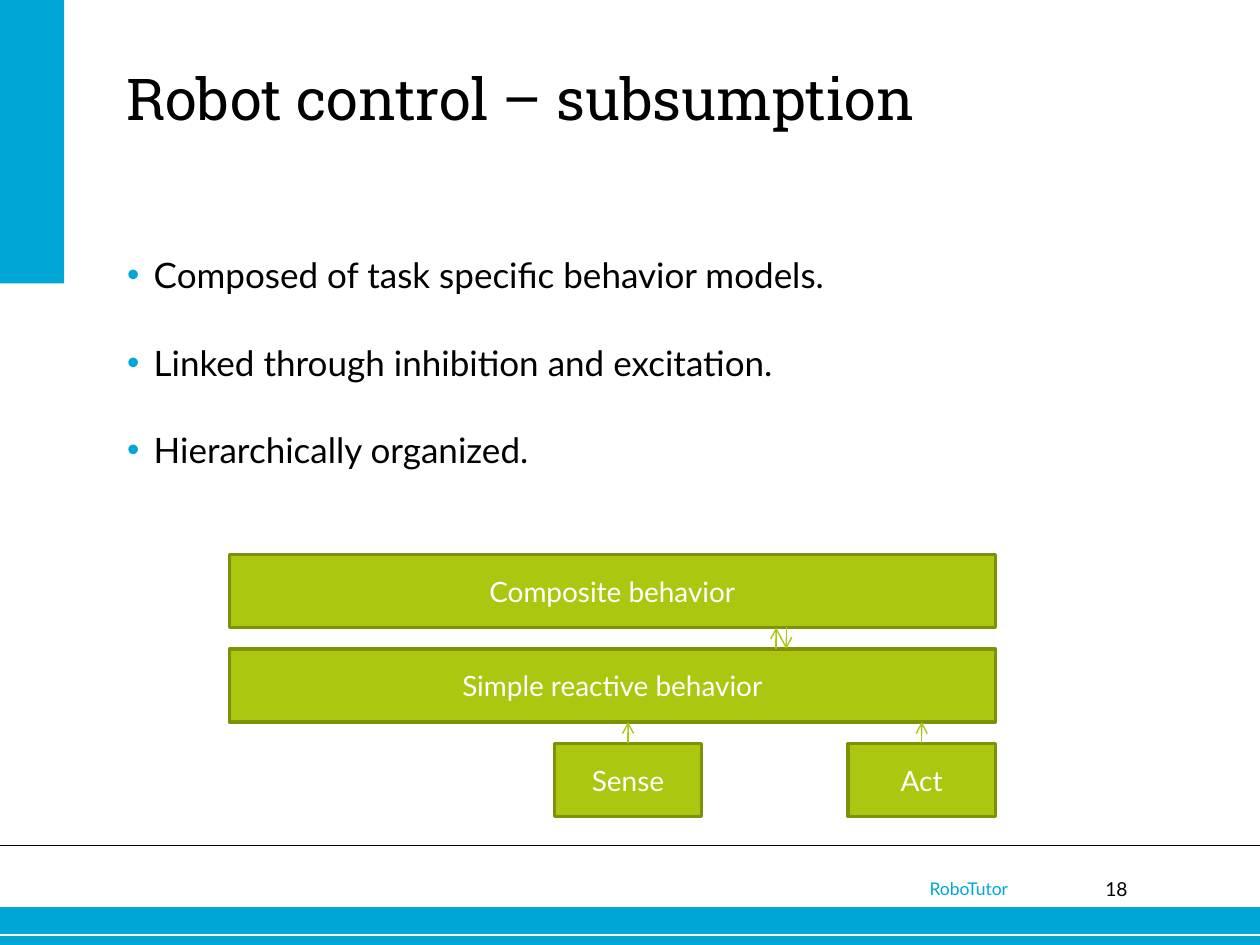
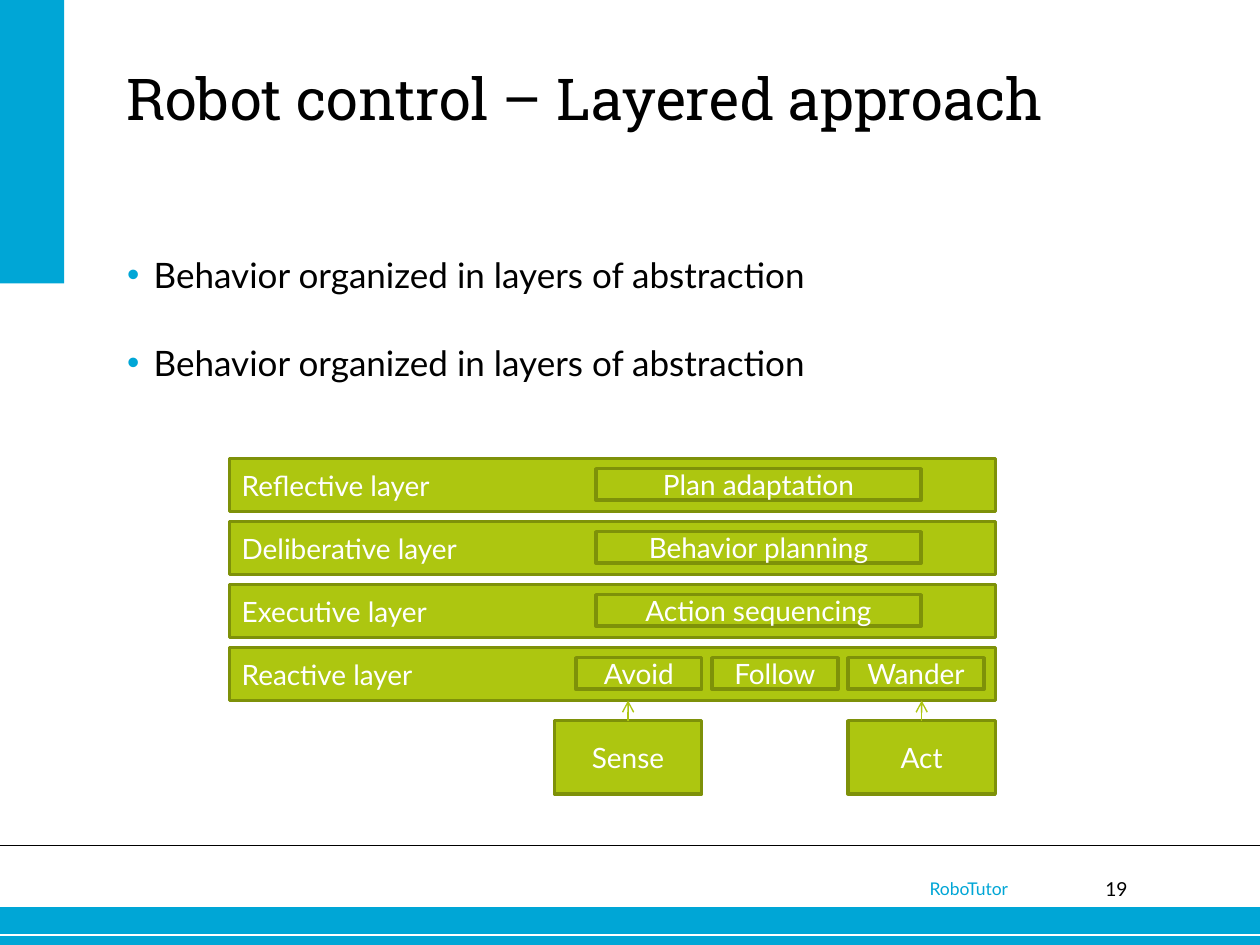
from pptx import Presentation
from pptx import util as u
from pptx.dml.color import RGBColor
from pptx.enum import shapes, text
from pptx.oxml.ns import qn
from lxml import etree

# Slide grid: 100 columns by 75 rows
WIDTH, HEIGHT = u.Inches(10), u.Inches(7.5)
COLUMNS, ROWS = 100, 75

CYAN = RGBColor(0x00, 0xA6, 0xD6)
GREEN = RGBColor(0xAD, 0xC6, 0x10)
OLIVE = RGBColor(0x7E, 0x91, 0x09)
BLACK = RGBColor(0x00, 0x00, 0x00)
WHITE = RGBColor(0xFF, 0xFF, 0xFF)

LEFT, CENTER, RIGHT = text.PP_ALIGN.LEFT, text.PP_ALIGN.CENTER, text.PP_ALIGN.RIGHT
TITLE_FONT = {"name": "Roboto Slab", "size": u.Pt(33)}
LIST_FONT = {"name": "Lato", "size": u.Pt(20)}
LABEL_FONT = {"name": "Lato", "size": u.Pt(16)}
NUMBER_FONT = {"name": "Lato", "size": u.Pt(11)}
FOOTER_FONT = {"name": "Lato", "size": u.Pt(10)}
NO_MARGINS = {"margin_left": 0, "margin_right": 0, "margin_top": 0, "margin_bottom": 0}
TOP_FRAME = {**NO_MARGINS, "word_wrap": True, "auto_size": text.MSO_AUTO_SIZE.NONE,
             "vertical_anchor": text.MSO_ANCHOR.TOP}

# Diagram measures in columns and rows
BAR_LEFT, BAR_WIDTH = 18.2, 60.8
TILE_WIDTH, TILE_HEIGHT = 11.7, 5.8
ACT_LEFT = BAR_LEFT + BAR_WIDTH - TILE_WIDTH
SENSE_LEFT = ACT_LEFT - 23.3


def across(columns):
    return round(WIDTH * columns / COLUMNS)


def down(rows):
    return round(HEIGHT * rows / ROWS)


def place(left, top, width, height):
    return across(left), down(top), across(width), down(height)


def apply(target, values):
    for name, value in values.items():
        setattr(target, name, value)


def write(para, words, font, color, align=LEFT):
    span = para.add_run()
    span.text = words
    apply(span.font, font)
    span.font.color.rgb = color
    para.alignment = align


def add_rect(page, area, fill, outline=None):
    rect = page.shapes.add_shape(shapes.MSO_SHAPE.RECTANGLE, *place(*area))
    rect.shadow.inherit = False
    rect.fill.solid()
    rect.fill.fore_color.rgb = fill
    if outline is None:
        rect.line.fill.background()
    else:
        rect.line.color.rgb = outline
        rect.line.width = u.Pt(2)
    return rect


def add_box(page, label, area, align=CENTER):
    box = add_rect(page, area, GREEN, OLIVE)
    apply(box.text_frame, {"word_wrap": True, "vertical_anchor": text.MSO_ANCHOR.MIDDLE})
    write(box.text_frame.paragraphs[0], label, LABEL_FONT, WHITE, align)


def add_line(page, start, end, color, points, arrow=False):
    line = page.shapes.add_connector(
        shapes.MSO_CONNECTOR.STRAIGHT,
        across(start[0]), down(start[1]), across(end[0]), down(end[1]))
    line.line.color.rgb = color
    line.line.width = u.Pt(points)
    if arrow:
        etree.SubElement(line.line._get_or_add_ln(), qn("a:tailEnd"), type="arrow")
    etree.SubElement(line._element.spPr, qn("a:effectLst"))


def add_text(page, words, area, font, color, align=LEFT, frame=None):
    box = page.shapes.add_textbox(*place(*area))
    apply(box.text_frame, {"word_wrap": True, **(frame or {})})
    write(box.text_frame.paragraphs[0], words, font, color, align)


def move(holder, area):
    sides = zip(("left", "top", "width", "height"), place(*area))
    apply(holder, dict(sides))
    apply(holder.text_frame, TOP_FRAME)


def add_bullet(para):
    props = para._p.get_or_add_pPr()
    props.set("marL", str(across(2.1)))
    props.set("indent", str(-across(2.1)))
    tint = etree.SubElement(props, qn("a:buClr"))
    etree.SubElement(tint, qn("a:srgbClr"), val=str(CYAN))
    etree.SubElement(props, qn("a:buChar"), char="•")


def fill_list(frame, items):
    for index, item in enumerate(items):
        para = frame.add_paragraph() if index else frame.paragraphs[0]
        apply(para, {"line_spacing": u.Pt(25), "space_before": u.Pt(25 if index else 0)})
        add_bullet(para)
        write(para, item, LIST_FONT, BLACK)


def add_page(deck, number, title, items):
    page = deck.slides.add_slide(deck.slide_layouts[1])
    # Bands, rules and footer
    add_rect(page, (0, 72, COLUMNS, 3), CYAN)
    add_line(page, (0, 74.2), (COLUMNS, 74.2), WHITE, 0.75)
    add_line(page, (0, 67.1), (COLUMNS, 67.1), BLACK, 1)
    add_rect(page, (0, 0, 5.1, 22.5), CYAN)
    add_text(page, str(number), (84.6, 69.6, 4.9, 2.8), NUMBER_FONT, BLACK, RIGHT, NO_MARGINS)
    add_text(page, "RoboTutor", (72.8, 69.2, 16, 2.7), FOOTER_FONT, CYAN)
    # Title and list
    heading, body = page.placeholders
    move(heading, (10, 5, 82, 6.9))
    write(heading.text_frame.paragraphs[0], title, TITLE_FONT, BLACK)
    move(body, (10.1, 20, 88, 38.4))
    fill_list(body.text_frame, items)
    return page


def add_sense_and_act(page, top, bar_bottom):
    for label, left in (("Sense", SENSE_LEFT), ("Act", ACT_LEFT)):
        add_box(page, label, (left, top, TILE_WIDTH, TILE_HEIGHT))
        middle = left + TILE_WIDTH / 2
        add_line(page, (middle, top), (middle, bar_bottom), GREEN, 0.79, arrow=True)


def draw_subsumption(page):
    first, step = 44, 7.5
    for index, label in enumerate(("Composite behavior", "Simple reactive behavior")):
        add_box(page, label, (BAR_LEFT, first + index * step, BAR_WIDTH, TILE_HEIGHT))
    upper, lower = first + TILE_HEIGHT, first + step
    add_sense_and_act(page, first + 2 * step, lower + TILE_HEIGHT)
    # Excitation up, inhibition down
    add_line(page, (61.6, lower), (61.6, upper), GREEN, 0.79, arrow=True)
    add_line(page, (62.4, upper), (62.4, lower), GREEN, 0.79, arrow=True)


def draw_layers(page):
    first, step, height = 36.4, 5, 4.2
    wide = (47.3, 25.8)
    layers = {
        "Reflective layer": [("Plan adaptation", *wide)],
        "Deliberative layer": [("Behavior planning", *wide)],
        "Executive layer": [("Action sequencing", *wide)],
        "Reactive layer": [("Avoid", 45.7, 10), ("Follow", 56.5, 10), ("Wander", 67.3, 10.8)],
    }
    for index, (layer, tasks) in enumerate(layers.items()):
        top = first + index * step
        add_box(page, layer, (BAR_LEFT, top, BAR_WIDTH, height), LEFT)
        for task, left, width in tasks:
            add_box(page, task, (left, top + 0.8, width, 2.5))
    add_sense_and_act(page, top + 5.8, top + height)


def main():
    deck = Presentation()
    apply(deck, {"slide_width": WIDTH, "slide_height": HEIGHT})
    draw_subsumption(add_page(deck, 18, "Robot control – subsumption", [
        "Composed of task specific behavior models.",
        "Linked through inhibition and excitation.",
        "Hierarchically organized.",
    ]))
    draw_layers(add_page(deck, 19, "Robot control – Layered approach",
                         ["Behavior organized in layers of abstraction"] * 2))
    deck.save("out.pptx")


if __name__ == "__main__":
    main()
